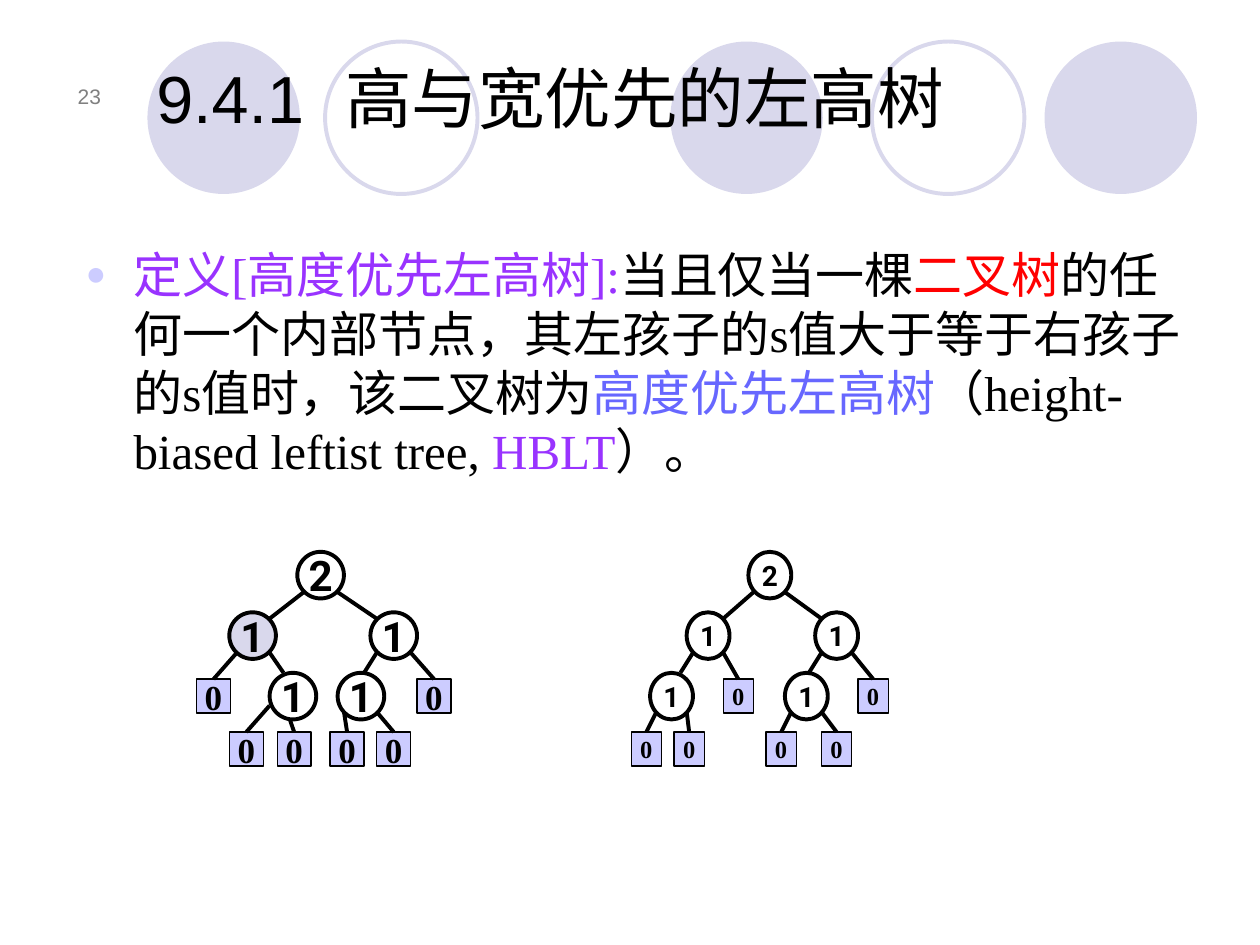
from pptx import Presentation
from pptx.dml.color import RGBColor
from pptx.enum.shapes import MSO_CONNECTOR as Line, MSO_SHAPE as Kind
from pptx.enum.text import MSO_ANCHOR as Anchor, MSO_AUTO_SIZE as Fit, PP_ALIGN as Align
from pptx.oxml.ns import qn
from pptx.util import Inches, Pt

HUE = {"ink": "000000", "pale": "D9D8EC", "leaf": "CCCCFF", "gray": "808080",
       "plum": "9933FF", "red": "FF0000", "blue": "6767FF"}


def write(para, text, size=28, font="Times New Roman", hue="ink", bold=False, align=Align.LEFT):
    para.alignment = align
    run = para.add_run()
    run.text = text
    run.font.size, run.font.name, run.font.bold = Pt(size), font, bold
    run.font.color.rgb = RGBColor.from_string(HUE[hue])


def draw(group, kind, box, fill=None, line="ink", weight=2.25):
    """Add a preset shape, or a straight line when kind is None."""
    spots = [Inches(v) for v in box]
    if kind is None:
        item = group.shapes.add_connector(Line.STRAIGHT, *spots)
        item.element.spPr.append(item.element.makeelement(qn("a:effectLst"), {}))
    else:
        item = group.shapes.add_shape(kind, *spots)
        item.shadow.inherit = False
        if fill:
            item.fill.solid()
            item.fill.fore_color.rgb = RGBColor.from_string(HUE[fill])
        else:
            item.fill.background()
    if line:
        item.line.color.rgb = RGBColor.from_string(HUE[line])
        item.line.width = Pt(weight)
    else:
        item.line.fill.background()
    return item


deck = Presentation()
deck.slide_width, deck.slide_height = Inches(10), Inches(7.5)
slide = deck.slides.add_slide(deck.slide_layouts[1])
title, body = slide.placeholders

# Circles behind the title
band = slide.shapes.add_group_shape()
for x, solid in [(5.32, True), (8.29, True), (1.17, True), (6.92, False), (2.58, False)]:
    draw(band, Kind.OVAL, (x, 0.33, 1.21, 1.21),
         fill="pale" if solid else None, line=None if solid else "pale")
title.element.addprevious(band.element)

# Slide number
num = slide.shapes.add_textbox(Inches(0.35), Inches(0.44), Inches(0.55), Inches(0.47))
num.text_frame.word_wrap = True
num.text_frame.vertical_anchor = Anchor.BOTTOM
write(num.text_frame.paragraphs[0], "23", size=12, font="Arial", hue="gray", align=Align.RIGHT)

# Title
title.left, title.top, title.width, title.height = map(Inches, (1.14, 0.21, 8.59, 0.93))
title.text_frame.auto_size = Fit.NONE
title.text_frame.vertical_anchor = Anchor.BOTTOM
write(title.text_frame.paragraphs[0], "9.4.1\t高与宽优先的左高树", size=38, font="Arial")

# Definition
body.left, body.top, body.width, body.height = map(Inches, (0.58, 1.89, 8.92, 3.89))
body.text_frame.auto_size = Fit.NONE
para = body.text_frame.paragraphs[0]
for text, hue in [
    ("定义[高度优先左高树]:", "plum"),
    ("当且仅当一棵", "ink"),
    ("二叉树", "red"),
    ("的任何一个内部节点，其左孩子的s值大于等于右孩子的s值时，该二叉树为", "ink"),
    ("高度优先左高树", "blue"),
    ("（height-biased leftist tree, ", "ink"),
    ("HBLT", "plum"),
    ("）。", "ink"),
]:
    write(para, text, hue=hue)

# Bullet
props = para._p.get_or_add_pPr()
props.set("marL", str(Inches(0.38)))
props.set("indent", str(-Inches(0.38)))
tint = props.makeelement(qn("a:buClr"), {})
tint.append(tint.makeelement(qn("a:srgbClr"), {"val": HUE["leaf"]}))
props.append(tint)
props.append(props.makeelement(qn("a:buSzPct"), {"val": "70000"}))
props.append(props.makeelement(qn("a:buChar"), {"char": "●"}))

# Trees: nodes (x, y, label, fill), links (x1, y1, x2, y2),
# leaves (x, y, then the point on the parent node)
trees = [
    {"node": 0.37, "leaf": 0.27, "big": 24, "small": 20,
     "nodes": [(2.36, 4.38, "2", None), (1.82, 4.86, "1", "pale"), (2.94, 4.86, "1", None),
               (2.14, 5.34, "1", None), (2.68, 5.34, "1", None)],
     "links": [(2.14, 4.91, 2.41, 4.7), (2.99, 4.91, 2.68, 4.7),
               (2.25, 5.34, 2.14, 5.18), (2.89, 5.34, 2.99, 5.18)],
     "leaves": [(1.56, 5.39, 1.88, 5.18), (1.82, 5.81, 2.14, 5.6), (2.2, 5.81, 2.3, 5.71),
                (2.62, 5.81, 2.73, 5.65), (2.99, 5.81, 2.99, 5.65), (3.31, 5.39, 3.26, 5.18)]},
    {"node": 0.34, "leaf": 0.24, "big": 16, "small": 14,
     "nodes": [(5.94, 4.38, "2", None), (5.45, 4.86, "1", None), (6.47, 4.86, "1", None),
               (5.16, 5.34, "1", None), (6.23, 5.34, "1", None)],
     "links": [(5.74, 4.91, 5.98, 4.7), (6.52, 4.91, 6.23, 4.7),
               (5.4, 5.34, 5.5, 5.18), (6.42, 5.34, 6.52, 5.18)],
     "leaves": [(5.74, 5.39, 5.74, 5.18), (5.01, 5.81, 5.21, 5.65), (5.35, 5.81, 5.45, 5.65),
                (6.08, 5.81, 6.28, 5.65), (6.52, 5.81, 6.52, 5.65), (6.81, 5.39, 6.76, 5.18)]},
]
for tree in trees:
    group = slide.shapes.add_group_shape()
    marks = []
    for x, y, label, fill in tree["nodes"]:
        node = draw(group, Kind.OVAL, (x, y, tree["node"], 0.37), fill=fill)
        marks.append((node, label, tree["big"], "Roboto"))
    for ends in tree["links"]:
        draw(group, None, ends)
    for x, y, px, py in tree["leaves"]:
        leaf = draw(group, Kind.RECTANGLE, (x, y, tree["leaf"], 0.27), fill="leaf", weight=0.75)
        draw(group, None, (x, y, px, py)).begin_connect(leaf, 0)
        marks.append((leaf, "0", tree["small"], "Times New Roman"))
    # Labels
    for item, label, size, font in marks:
        frame = item.text_frame
        frame.word_wrap = False
        frame.vertical_anchor = Anchor.MIDDLE
        write(frame.paragraphs[0], label, size=size, font=font, bold=True, align=Align.CENTER)

deck.save("out.pptx")
